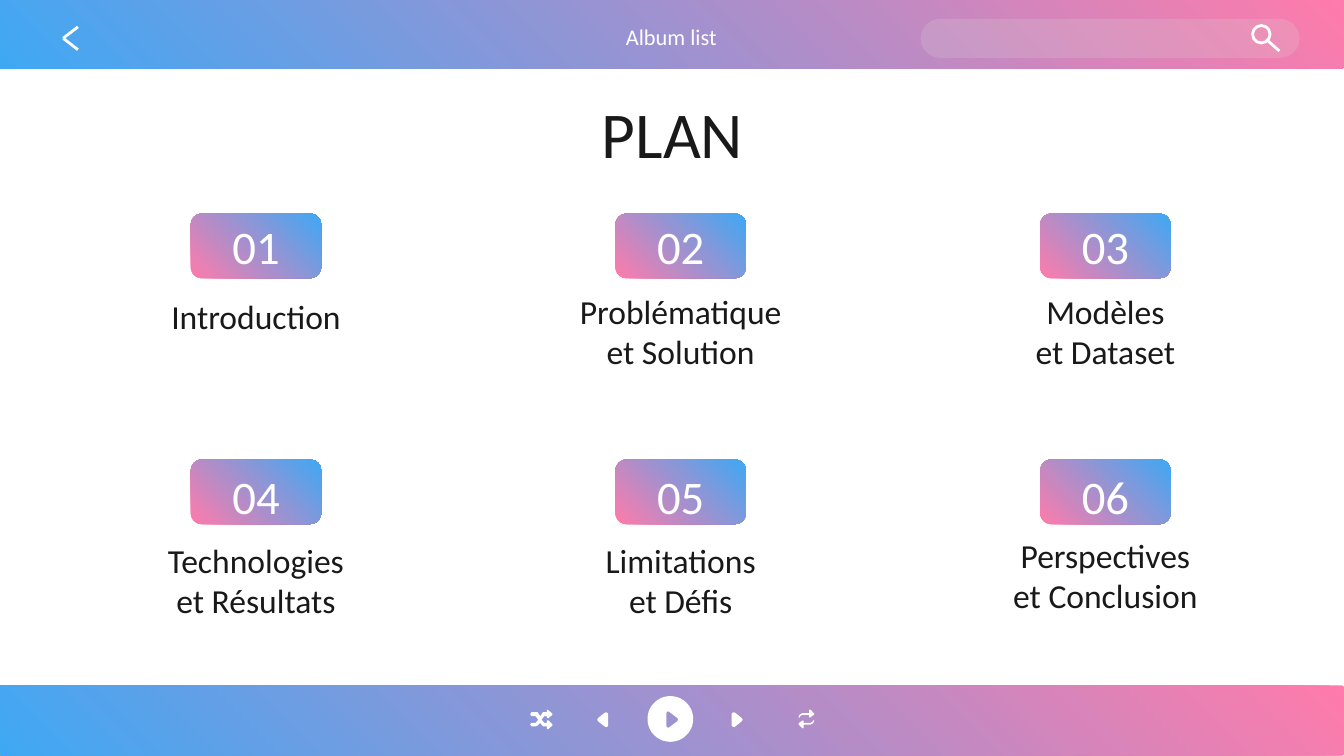
from dataclasses import dataclass
from math import cos, pi, sin

from lxml import etree
from pptx import Presentation
from pptx import util as u
from pptx.dml.color import RGBColor
from pptx.enum import shapes, text
from pptx.oxml.ns import qn

PX = 914.4  # EMU per px, 1000 px to the inch

PINK = RGBColor(0xFF, 0x7B, 0xAB)
BLUE = RGBColor(0x3F, 0xA8, 0xF4)
GREY = RGBColor(0xD9, 0xD9, 0xD9)
INK = RGBColor(0x19, 0x19, 0x19)
WHITE = RGBColor(0xFF, 0xFF, 0xFF)
OFF_WHITE = RGBColor(0xFE, 0xFE, 0xFE)

FONT = "Calibri"
COLUMN_STEP = 3160
BADGE_LEFT, BADGE_WIDTH, BADGE_HEIGHT = 1420, 970, 480
BADGE_TOPS = (1590, 3420)
NUMBER_TOPS = (1590, 3450)


@dataclass(frozen=True)
class Box:
    left: int
    top: int
    width: int
    height: int

    def emu(self) -> list[u.Emu]:
        return [px(n) for n in (self.left, self.top, self.width, self.height)]


@dataclass(frozen=True)
class Topic:
    label: str
    top: int
    height: int = 710


Point = tuple[int, int]

TOPICS = (
    Topic("Introduction", 2110, 480),
    Topic("Problématique\net Solution", 2110),
    Topic("Modèles\net Dataset", 2110),
    Topic("Technologies\net Résultats", 3960),
    Topic("Limitations\net Défis", 3960),
    Topic("Perspectives\net Conclusion", 4040, 480),
)

SHUFFLE = [
    (4070, 5280), (4070, 5300), (4040, 5300), (4020, 5330), (4000, 5300),
    (3980, 5300), (3955, 5300), (3945, 5315), (3955, 5330), (3985, 5330),
    (4005, 5355), (3985, 5380), (3955, 5380), (3945, 5390), (3955, 5405),
    (3985, 5405), (4000, 5400), (4020, 5380), (4040, 5405), (4070, 5405),
    (4070, 5425), (4080, 5425), (4110, 5400), (4110, 5390), (4080, 5360),
    (4070, 5360), (4070, 5380), (4050, 5380), (4030, 5355), (4050, 5330),
    (4070, 5330), (4070, 5345), (4080, 5345), (4110, 5320), (4110, 5310),
    (4080, 5285),
]
PREVIOUS = [
    (4515, 5300), (4500, 5303), (4450, 5343), (4444, 5355), (4450, 5367),
    (4500, 5407), (4515, 5410), (4525, 5400), (4525, 5310),
]
NEXT = [(9970 - x, y) for x, y in PREVIOUS]
REPEAT_LOWER = [
    (5970, 5362), (5942, 5382), (5942, 5390), (5970, 5420), (5980, 5417),
    (5980, 5393), (6030, 5393), (6050, 5382), (6060, 5362), (6050, 5360),
    (6045, 5372), (6030, 5380), (5980, 5380), (5980, 5362),
]
REPEAT_UPPER = [(12000 - x, 10700 - y) for x, y in REPEAT_LOWER]
PLAY_DISC = [
    (round(4988 + 170 * cos(step * pi / 36)), round(5350 + 170 * sin(step * pi / 36)))
    for step in range(72)
]
PLAY_HOLE = [
    (4968, 5293), (4980, 5297), (5040, 5343), (5046, 5355), (5040, 5367),
    (4980, 5412), (4968, 5416), (4958, 5405), (4958, 5305),
]


def px(length: int) -> u.Emu:
    return u.Emu(round(length * PX))


def add_preset(page, kind, box: Box, roundness: float | None = None):
    shape = page.shapes.add_shape(kind, *box.emu())
    shape.shadow.inherit = False
    shape.line.fill.background()
    if roundness is not None:
        shape.adjustments[0] = roundness
    return shape


def add_gradient_box(page, box: Box, roundness: float, angle: int) -> None:
    fill = add_preset(page, shapes.MSO_SHAPE.ROUNDED_RECTANGLE, box, roundness).fill
    fill.gradient()
    fill.gradient_angle = angle
    for stop, color in zip(fill.gradient_stops, (PINK, BLUE)):
        stop.color.rgb = color


def add_stroke(page, start: Point, end: Point) -> None:
    line = page.shapes.add_connector(
        shapes.MSO_CONNECTOR.STRAIGHT, *(px(n) for n in start + end))
    line.line.color.rgb = OFF_WHITE
    line.line.width = u.Pt(1.5)
    etree.SubElement(line._element.spPr, qn("a:effectLst"))


def add_icon(page, *outlines: list[Point]) -> None:
    """Fill the first outline in white; any further ones are holes in it."""
    first, *holes = outlines
    builder = page.shapes.build_freeform(*first[0], scale=PX)
    builder.add_line_segments(first[1:])
    for hole in holes:
        builder.move_to(*hole[0])
        builder.add_line_segments(hole[1:])
    icon = builder.convert_to_shape()
    icon.shadow.inherit = False
    icon.fill.solid()
    icon.fill.fore_color.rgb = WHITE
    icon.line.fill.background()


def write(shape, words: str, size: int, color: RGBColor, anchor) -> None:
    frame = shape.text_frame
    frame.text = words
    frame.word_wrap = True
    frame.auto_size = text.MSO_AUTO_SIZE.NONE
    frame.vertical_anchor = anchor
    frame.margin_left = frame.margin_right = px(100)
    frame.margin_top = frame.margin_bottom = px(100)
    for para in frame.paragraphs:
        para.alignment = text.PP_ALIGN.CENTER
        para.font.name = FONT
        para.font.size = u.Pt(size)
        para.font.color.rgb = color


def add_words(page, box: Box, words: str, size: int, color: RGBColor,
              anchor=text.MSO_ANCHOR.MIDDLE) -> None:
    write(page.shapes.add_textbox(*box.emu()), words, size, color, anchor)


def add_top_bar(page) -> None:
    add_gradient_box(page, Box(0, -10, 10000, 520), 0.03, 225)
    search = add_preset(page, shapes.MSO_SHAPE.ROUNDED_RECTANGLE,
                        Box(6850, 140, 2820, 290), 0.5)
    search.fill.solid()
    search.fill.fore_color.rgb = GREY
    tint = search._element.spPr.find(".//" + qn("a:srgbClr"))
    etree.SubElement(tint, qn("a:alpha"), val="21000")

    lens = add_preset(page, shapes.MSO_SHAPE.OVAL, Box(9320, 190, 130, 130))
    lens.fill.background()
    lens.line.color.rgb = OFF_WHITE
    lens.line.width = u.Pt(1.5)
    add_stroke(page, (9430, 300), (9520, 380))
    add_stroke(page, (470, 285), (580, 200))
    add_stroke(page, (470, 285), (580, 370))
    add_words(page, Box(4100, 70, 1790, 360), "Album list", 12, OFF_WHITE,
              text.MSO_ANCHOR.TOP)


def add_player_bar(page) -> None:
    add_gradient_box(page, Box(0, 5100, 10000, 520), 0.03, 225)
    for outline in (SHUFFLE, PREVIOUS, NEXT, REPEAT_LOWER, REPEAT_UPPER):
        add_icon(page, outline)
    add_icon(page, PLAY_DISC, PLAY_HOLE)


def add_topic(page, index: int, topic: Topic) -> None:
    row, column = divmod(index, 3)
    shift = column * COLUMN_STEP
    left = BADGE_LEFT + shift
    add_gradient_box(page, Box(left, BADGE_TOPS[row], BADGE_WIDTH, BADGE_HEIGHT), 0.17, 45)
    add_words(page, Box(left, NUMBER_TOPS[row], BADGE_WIDTH, BADGE_HEIGHT),
              f"{index + 1:02}", 25, WHITE)
    add_words(page, Box(shift, topic.top, 3810, topic.height), topic.label, 18, INK)


def main() -> None:
    deck = Presentation()
    deck.slide_width, deck.slide_height = px(10000), px(5625)
    page = deck.slides.add_slide(deck.slide_layouts[5])

    title = page.shapes.title
    title.left, title.top, title.width, title.height = Box(790, 590, 8430, 630).emu()
    write(title, "PLAN", 35, INK, text.MSO_ANCHOR.TOP)

    add_top_bar(page)
    add_player_bar(page)
    for index, topic in enumerate(TOPICS):
        add_topic(page, index, topic)
    deck.save("out.pptx")


if __name__ == "__main__":
    main()
